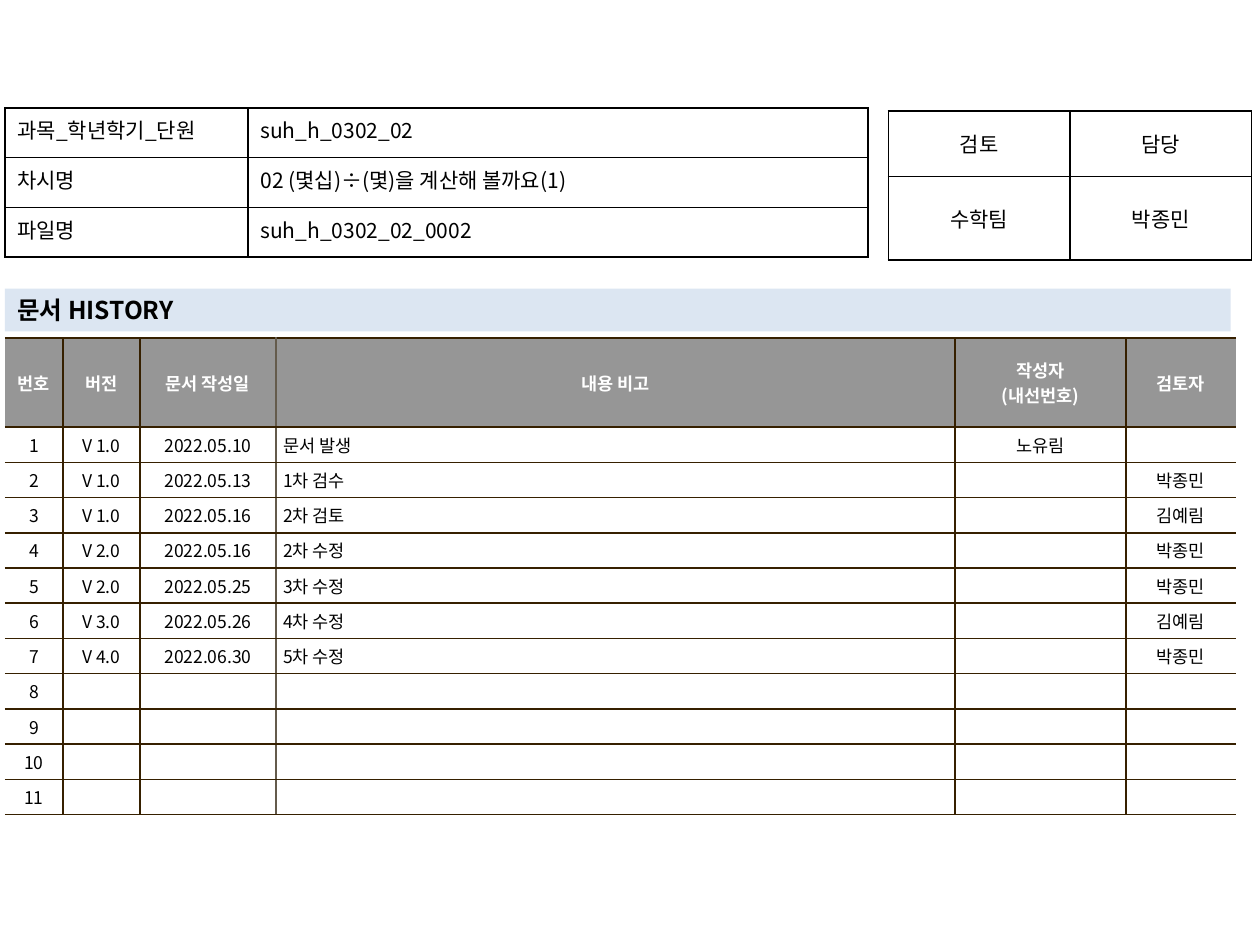
from lxml import etree
from pptx import Presentation
from pptx.dml.color import RGBColor
from pptx.enum.shapes import MSO_SHAPE
from pptx.enum.text import MSO_ANCHOR, PP_ALIGN
from pptx.oxml.ns import qn
from pptx.util import Cm, Pt

RECTANGLE = MSO_SHAPE.RECTANGLE
TOP, MIDDLE = MSO_ANCHOR.TOP, MSO_ANCHOR.MIDDLE
LEFT, CENTER, JUSTIFY = PP_ALIGN.LEFT, PP_ALIGN.CENTER, PP_ALIGN.JUSTIFY

FONT = "Noto Sans CJK KR"
BLACK, WHITE, GRAY, PALE_BLUE = "000000", "FFFFFF", "969696", "DCE6F2"
BROWN, TAUPE = "362000", "645B4C"
EDGES = ("L", "R", "T", "B")

DOCUMENT_INFO = [
    ("과목_학년학기_단원", "suh_h_0302_02"),
    ("차시명", "02 (몇십)÷(몇)을 계산해 볼까요(1)"),
    ("파일명", "suh_h_0302_02_0002"),
]
APPROVAL = [("검토", "담당"), ("수학팀", "박종민")]
HISTORY_HEADER = ("번호", "버전", "문서 작성일", "내용 비고", "작성자\n(내선번호)", "검토자")
REVISIONS = [
    ("V 1.0", "2022.05.10", "문서 발생", "노유림", ""),
    ("V 1.0", "2022.05.13", "1차 검수", "", "박종민"),
    ("V 1.0", "2022.05.16", "2차 검토", "", "김예림"),
    ("V 2.0", "2022.05.16", "2차 수정", "", "박종민"),
    ("V 2.0", "2022.05.25", "3차 수정", "", "박종민"),
    ("V 3.0", "2022.05.26", "4차 수정", "", "김예림"),
    ("V 4.0", "2022.06.30", "5차 수정", "", "박종민"),
]
HISTORY_ROWS = 11
NOTE_COLUMN = 3


def rgb(value):
    return RGBColor.from_string(value)


def write_text(frame, text, size, color=BLACK, bold=False, align=LEFT):
    frame.text = text
    for paragraph in frame.paragraphs:
        paragraph.alignment = align
        for run in paragraph.runs:
            run.font.name = FONT
            run.font.size = Pt(size)
            run.font.bold = bold
            run.font.color.rgb = rgb(color)
            east_asian = etree.SubElement(run.font._element, qn("a:ea"))
            east_asian.set("typeface", FONT)
        if not paragraph.runs:
            ending = etree.SubElement(paragraph._p, qn("a:endParaRPr"))
            ending.set("sz", str(size * 100))


def set_borders(cell, colors):
    properties = cell._tc.get_or_add_tcPr()
    for edge in EDGES:
        color = colors[edge]
        border = etree.SubElement(properties, qn(f"a:ln{edge}"), w=str(Pt(1)))
        if color:
            fill = etree.SubElement(border, qn("a:solidFill"))
            etree.SubElement(fill, qn("a:srgbClr"), val=color)
        else:
            etree.SubElement(border, qn("a:noFill"))


def set_margins(cell, horizontal, vertical):
    cell.margin_left = cell.margin_right = Cm(horizontal)
    cell.margin_top = cell.margin_bottom = Cm(vertical)


def add_grid(slide, left, top, widths, heights):
    frame = slide.shapes.add_table(
        len(heights), len(widths), Cm(left), Cm(top), Cm(sum(widths)), Cm(sum(heights))
    )
    table = frame.table
    table.first_row = table.horz_banding = False
    for column, width in zip(table.columns, widths):
        column.width = Cm(width)
    for row, height in zip(table.rows, heights):
        row.height = Cm(height)
    return table


def add_form(slide, left, top, widths, heights, entries, aligns, anchor):
    form = add_grid(slide, left, top, widths, heights)
    for r, entry in enumerate(entries):
        for c, text in enumerate(entry):
            cell = form.cell(r, c)
            write_text(cell.text_frame, text, 12, align=aligns[c])
            set_margins(cell, 0.25, 0.13)
            set_borders(cell, dict.fromkeys(EDGES, BLACK))
            cell.fill.background()
            cell.vertical_anchor = anchor


def add_history(slide):
    widths = [1.17, 1.55, 2.74, 13.69, 3.45, 2.21]
    heights = [1.8] + [0.71] * HISTORY_ROWS
    history = add_grid(slide, 0.1, 6.81, widths, heights)
    vertical_lines = [None, BROWN, BROWN, TAUPE, BROWN, BROWN, None]
    empty = ("",) * (len(widths) - 1)
    entries = [HISTORY_HEADER]
    for number in range(1, HISTORY_ROWS + 1):
        revision = REVISIONS[number - 1] if number <= len(REVISIONS) else empty
        entries.append((str(number), *revision))
    for r, entry in enumerate(entries):
        header = r == 0
        for c, text in enumerate(entry):
            cell = history.cell(r, c)
            align = LEFT if c == NOTE_COLUMN and not header else CENTER
            write_text(cell.text_frame, text, 10, WHITE if header else BLACK, header, align)
            set_margins(cell, 0.15, 0.1)
            set_borders(cell, {"L": vertical_lines[c], "R": vertical_lines[c + 1],
                               "T": BROWN, "B": BROWN})
            cell.fill.solid()
            cell.fill.fore_color.rgb = rgb(GRAY if header else WHITE)
            cell.vertical_anchor = MIDDLE


def add_heading_bar(slide, text):
    bar = slide.shapes.add_shape(RECTANGLE, Cm(0.1), Cm(5.82), Cm(24.71), Cm(0.86))
    bar.shadow.inherit = False
    bar.fill.solid()
    bar.fill.fore_color.rgb = rgb(PALE_BLUE)
    bar.line.fill.background()
    bar.text_frame.word_wrap = True
    bar.text_frame.vertical_anchor = MIDDLE
    write_text(bar.text_frame, text, 14, bold=True)


def main():
    presentation = Presentation()
    presentation.slide_width = Cm(25.4)
    presentation.slide_height = Cm(19.05)
    slide = presentation.slides.add_slide(presentation.slide_layouts[6])
    add_history(slide)
    add_form(slide, 17.91, 2.24, [3.66] * 2, [1.32, 1.68], APPROVAL, [CENTER] * 2, MIDDLE)
    add_heading_bar(slide, "문서 HISTORY")
    add_form(slide, 0.1, 2.18, [4.9, 12.5], [1.0] * 3, DOCUMENT_INFO, [JUSTIFY, LEFT], TOP)
    presentation.save("out.pptx")


if __name__ == "__main__":
    main()
